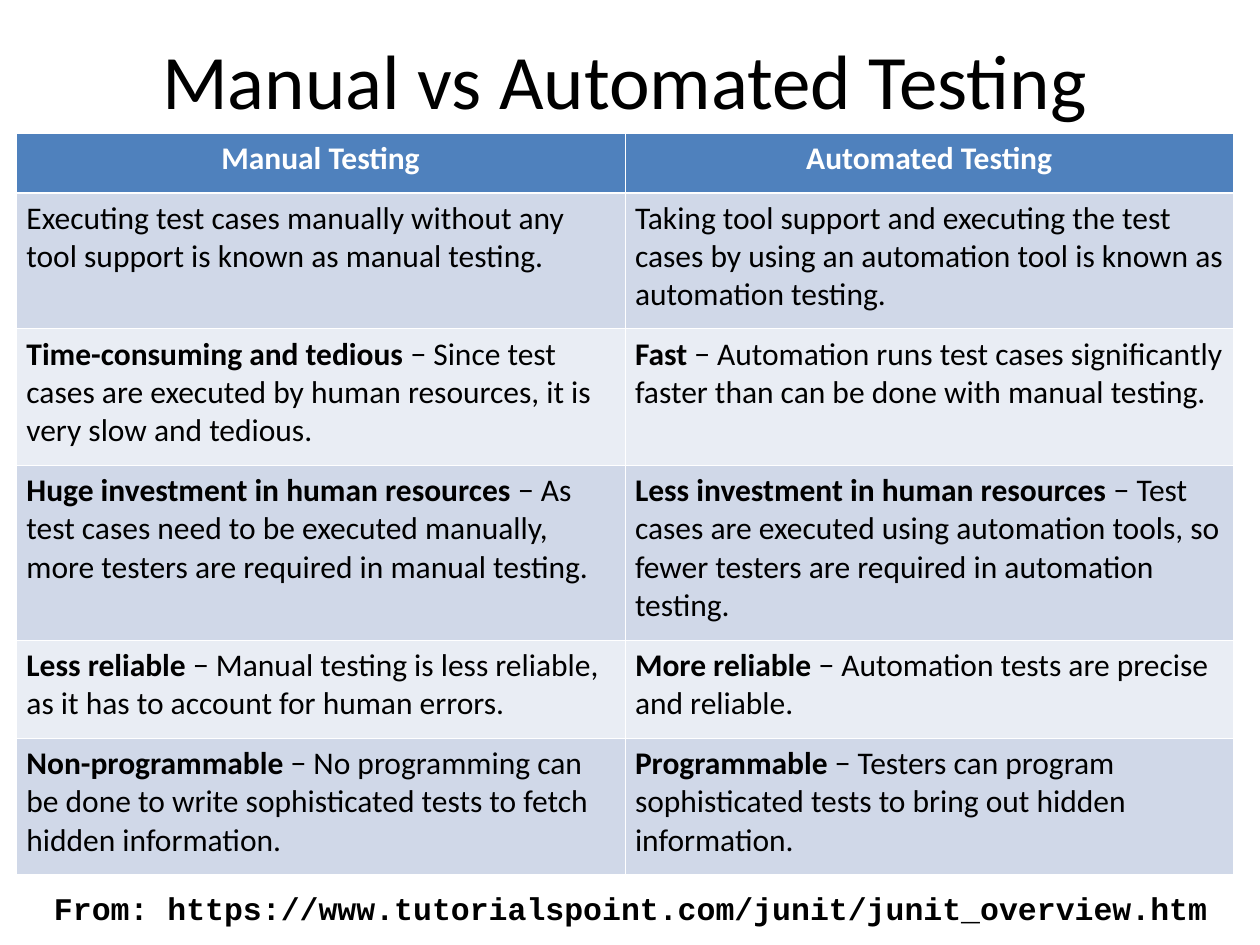
from typing import NamedTuple

from lxml.etree import SubElement
from pptx import Presentation
from pptx.dml.color import RGBColor
from pptx.enum.text import MSO_ANCHOR, PP_ALIGN
from pptx.oxml.ns import qn
from pptx.util import Inches, Pt

BLACK, WHITE = "000000", "FFFFFF"
HEADER_FILL = "4F81BD"
BAND_FILLS = ("D0D8E8", "E9EDF4")
THIN, THICK = 0.45, 1.47
ROW_HEIGHTS = (0.47, 1.08, 1.08, 1.39, 0.78, 1.08)
COLUMN_WIDTH = 4.83


class Point(NamedTuple):
    term: str
    explanation: str


class Comparison(NamedTuple):
    manual: Point
    automated: Point


HEADINGS = ("Manual Testing", "Automated Testing")
COMPARISONS = (
    Comparison(
        Point("", "Executing test cases manually without any tool support is known as manual testing."),
        Point("", "Taking tool support and executing the test cases by using an automation tool "
                  "is known as automation testing."),
    ),
    Comparison(
        Point("Time-consuming and tedious",
              "Since test cases are executed by human resources, it is very slow and tedious."),
        Point("Fast",
              "Automation runs test cases significantly faster than can be done with manual testing."),
    ),
    Comparison(
        Point("Huge investment in human resources",
              "As test cases need to be executed manually, more testers are required in manual testing."),
        Point("Less investment in human resources",
              "Test cases are executed using automation tools, so fewer testers are required "
              "in automation testing."),
    ),
    Comparison(
        Point("Less reliable",
              "Manual testing is less reliable, as it has to account for human errors."),
        Point("More reliable", "Automation tests are precise and reliable."),
    ),
    Comparison(
        Point("Non-programmable",
              "No programming can be done to write sophisticated tests to fetch hidden information."),
        Point("Programmable",
              "Testers can program sophisticated tests to bring out hidden information."),
    ),
)


def rgb(color: str) -> RGBColor:
    return RGBColor.from_string(color)


def add_run(paragraph, text: str, size: float = 18, color: str = BLACK,
            bold: bool = False, font: str = "Calibri") -> None:
    run = paragraph.add_run()
    run.text = text
    run.font.name = font
    run.font.size = Pt(size)
    run.font.bold = bold
    run.font.color.rgb = rgb(color)


def set_borders(cell, top: float, bottom: float) -> None:
    """Draw white borders; must run before the fill, which follows them in the XML."""
    properties = cell._tc.get_or_add_tcPr()
    for side, width in (("lnL", THIN), ("lnR", THIN), ("lnT", top), ("lnB", bottom)):
        line = SubElement(properties, qn(f"a:{side}"), w=str(Pt(width)))
        fill = SubElement(line, qn("a:solidFill"))
        SubElement(fill, qn("a:srgbClr"), val=WHITE)


def format_cell(cell, fill: str, top: float = THIN, bottom: float = THIN) -> None:
    cell.margin_left = cell.margin_right = Inches(0.08)
    cell.margin_top = cell.margin_bottom = Inches(0.05)
    set_borders(cell, top, bottom)
    cell.fill.solid()
    cell.fill.fore_color.rgb = rgb(fill)


def add_title(slide) -> None:
    title = slide.shapes.title
    title.left, title.top, title.width, title.height = map(Inches, (0.46, 0, 9, 1.25))
    title.text_frame.vertical_anchor = MSO_ANCHOR.MIDDLE
    paragraph = title.text_frame.paragraphs[0]
    paragraph.alignment = PP_ALIGN.CENTER
    add_run(paragraph, "Manual vs Automated Testing", size=44)


def add_comparison_table(slide) -> None:
    table = slide.shapes.add_table(
        len(ROW_HEIGHTS), len(HEADINGS), Inches(0.13), Inches(1.06),
        Inches(COLUMN_WIDTH * len(HEADINGS)), Inches(sum(ROW_HEIGHTS)),
    ).table
    for column in table.columns:
        column.width = Inches(COLUMN_WIDTH)
    for row, height in zip(table.rows, ROW_HEIGHTS):
        row.height = Inches(height)

    for column_index, heading in enumerate(HEADINGS):
        cell = table.cell(0, column_index)
        format_cell(cell, HEADER_FILL, bottom=THICK)
        paragraph = cell.text_frame.paragraphs[0]
        paragraph.alignment = PP_ALIGN.CENTER
        add_run(paragraph, heading, color=WHITE, bold=True)

    for row_index, comparison in enumerate(COMPARISONS, start=1):
        for column_index, point in enumerate(comparison):
            cell = table.cell(row_index, column_index)
            format_cell(cell, BAND_FILLS[(row_index - 1) % 2],
                        top=THICK if row_index == 1 else THIN)
            paragraph = cell.text_frame.paragraphs[0]
            if point.term:
                add_run(paragraph, point.term, bold=True)
                add_run(paragraph, f" − {point.explanation}")
            else:
                add_run(paragraph, point.explanation)


def add_citation(slide) -> None:
    citation = slide.shapes.add_textbox(Inches(0.33), Inches(7.01), Inches(9.35), Inches(0.4))
    citation.text_frame.word_wrap = False
    add_run(citation.text_frame.paragraphs[0],
            "From: https://www.tutorialspoint.com/junit/junit_overview.htm",
            bold=True, font="Courier New")


def main() -> None:
    presentation = Presentation()
    presentation.slide_width = Inches(10)
    presentation.slide_height = Inches(7.5)
    title_only = presentation.slide_layouts[5]
    slide = presentation.slides.add_slide(title_only)
    add_title(slide)
    add_comparison_table(slide)
    add_citation(slide)
    presentation.save("out.pptx")


if __name__ == "__main__":
    main()
